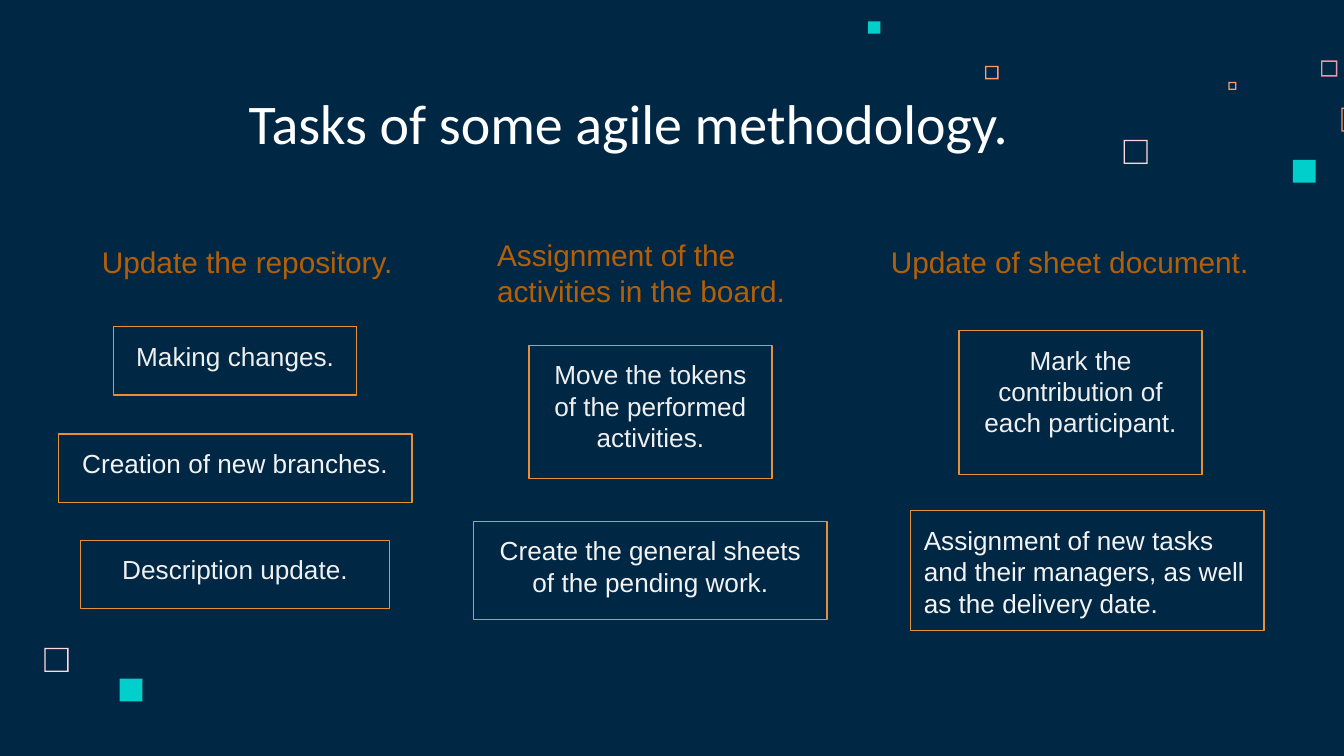
from pptx import Presentation
from pptx.dml.color import RGBColor
from pptx.enum.shapes import MSO_SHAPE
from pptx.enum.text import MSO_ANCHOR, MSO_AUTO_SIZE, PP_ALIGN
from pptx.util import Inches, Pt


def color(hex_code):
    return RGBColor.from_string(hex_code)


def write(shape, text, font, size, hex_code, align=PP_ALIGN.LEFT,
          anchor=MSO_ANCHOR.TOP):
    frame = shape.text_frame
    frame.text = text
    frame.word_wrap = True
    frame.auto_size = MSO_AUTO_SIZE.NONE
    frame.vertical_anchor = anchor
    frame.margin_left = frame.margin_right = Inches(0.1)
    frame.margin_top = frame.margin_bottom = Inches(0.1)
    para = frame.paragraphs[0]
    para.alignment = align
    para.line_spacing = 1
    span = para.runs[0]
    span.font.name = font
    span.font.size = Pt(size)
    span.font.color.rgb = color(hex_code)


# Widescreen page, 16:9
deck = Presentation()
deck.slide_width = Inches(10)
deck.slide_height = deck.slide_width * 9 // 16
page = deck.slides.add_slide(deck.slide_layouts[5])
page.background.fill.solid()
page.background.fill.fore_color.rgb = color("002845")

# Decorative squares: left, top, side, colour, hollow
squares = [
    (8.36, 1.04, 0.18, "FFD6E1", True),
    (9.83, 0.45, 0.12, "E898AC", True),
    (9.14, 0.61, 0.06, "FF9973", True),
    (9.98, 0.80, 0.18, "FF9973", True),
    (9.62, 1.19, 0.17, "00CFCC", False),
    (7.33, 0.49, 0.10, "FF9973", True),
    (6.46, 0.16, 0.09, "00CFCC", False),
    (0.33, 4.82, 0.18, "FFD6E1", True),
    (0.89, 5.05, 0.17, "00CFCC", False),
]
for left, top, side, hex_code, hollow in squares:
    preset = MSO_SHAPE.FRAME if hollow else MSO_SHAPE.RECTANGLE
    square = page.shapes.add_shape(
        preset, Inches(left), Inches(top), Inches(side), Inches(side))
    if hollow:
        square.adjustments[0] = 0.01 / side
    square.fill.solid()
    square.fill.fore_color.rgb = color(hex_code)
    square.line.fill.background()
    square.shadow.inherit = False

# Title
title = page.shapes.title
title.left, title.top = Inches(1.75), Inches(0.63)
title.width, title.height = Inches(6.59), Inches(0.63)
write(title, "Tasks of some agile methodology.", "Calibri", 30, "FFFFFF",
      anchor=MSO_ANCHOR.BOTTOM)

# Columns: heading (text, centre, top, width, height), then its task boxes
NARROW, WIDE = 1.81, 2.63
columns = [
    (("Update the repository.", 1.90, 1.71, 2.48, 0.63), [
        ("Making changes.", 1.75, 2.43, NARROW, 0.51),
        ("Creation of new branches.", 1.75, 3.23, WIDE, 0.51),
        ("Description update.", 1.75, 4.02, 2.30, 0.51),
    ]),
    (("Assignment of the activities in the board.", 4.84, 1.66, 2.48, 0.73), [
        ("Move the tokens of the performed activities.",
         4.84, 2.57, NARROW, 0.99),
        ("Create the general sheets of the pending work.",
         4.84, 3.88, WIDE, 0.73),
    ]),
    (("Update of sheet document.", 8.04, 1.71, 3.02, 0.63), [
        ("Mark the contribution of each participant.",
         8.04, 2.46, NARROW, 1.07),
        ("Assignment of new tasks and their managers, as well as the "
         "delivery date.", 8.09, 3.80, WIDE, 0.89),
    ]),
]
for (text, centre, top, width, height), tasks in columns:
    heading = page.shapes.add_textbox(
        Inches(centre - width / 2), Inches(top), Inches(width), Inches(height))
    write(heading, text, "Arial", 16, "B45F06")

    for text, centre, top, width, height in tasks:
        box = page.shapes.add_shape(
            MSO_SHAPE.RECTANGLE, Inches(centre - width / 2), Inches(top),
            Inches(width), Inches(height))
        box.fill.background()
        box.line.color.rgb = color("E69138")
        box.line.width = Pt(0.75)
        box.shadow.inherit = False
        # The longest task reads better flush left
        align = PP_ALIGN.LEFT if len(text) > 60 else PP_ALIGN.CENTER
        shade = "F3F3F3" if width == WIDE else "EFEFEF"
        write(box, text, "Arial", 14, shade, align)

deck.save("out.pptx")
